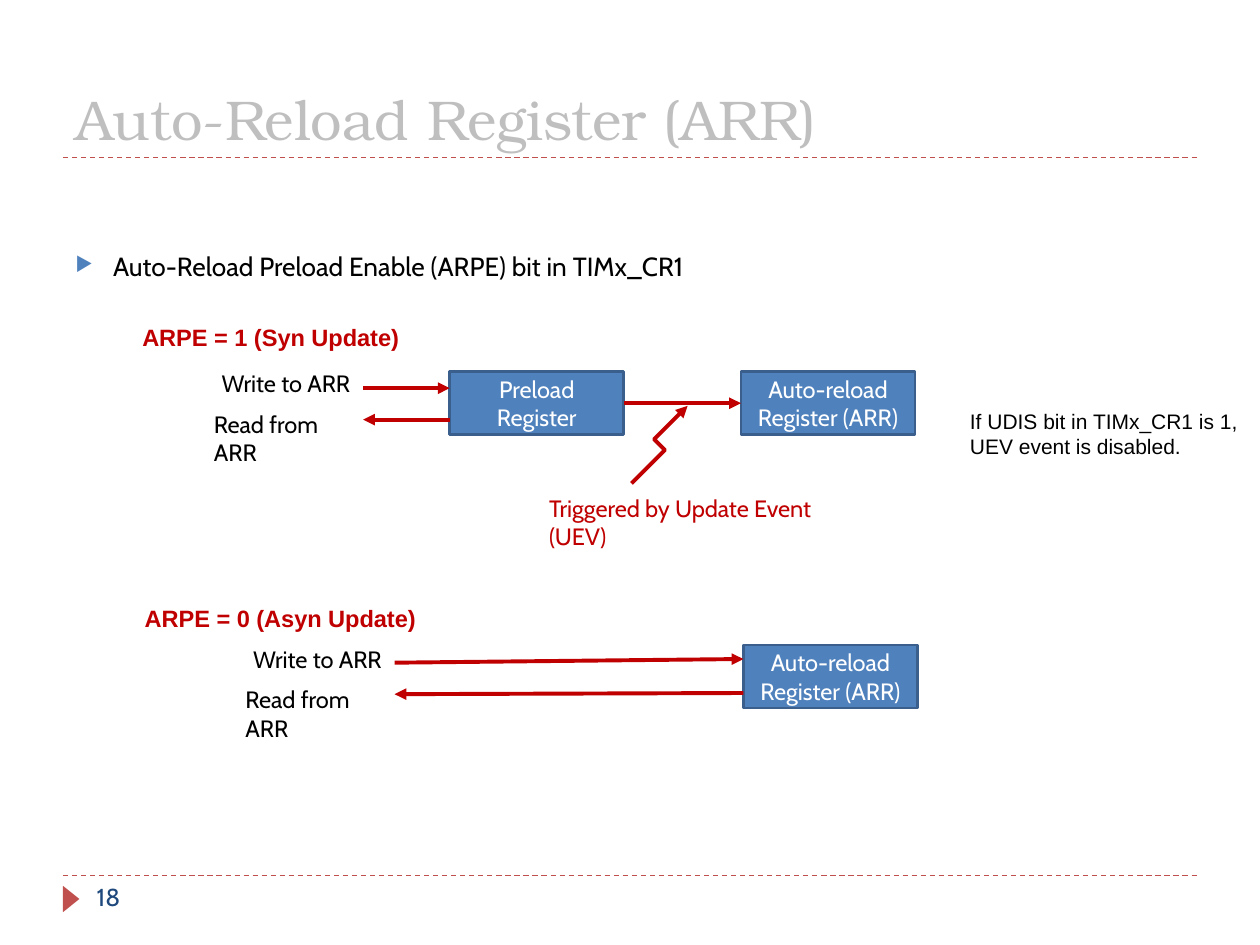
import pptx
import pptx.util
import pptx.dml.color
import pptx.enum.dml
import pptx.enum.shapes
import pptx.enum.text
import pptx.oxml
import pptx.oxml.ns

Pt = pptx.util.Pt
Anchor = pptx.enum.text.MSO_ANCHOR
Align = pptx.enum.text.PP_ALIGN
Shape = pptx.enum.shapes.MSO_SHAPE
Link = pptx.enum.shapes.MSO_CONNECTOR

COLORS = {
    "title": "BFBFBF", "black": "000000", "white": "FFFFFF", "red": "C00000",
    "rule": "C0504D", "blue": "4F81BD", "edge": "3A5F8C", "navy": "1F497D",
}
STYLES = {
    "title": {"name": "TeX Gyre Bonum", "size": Pt(32)},
    "page": {"name": "Cabin", "size": Pt(14)},
    "point": {"name": "Cabin", "size": Pt(15)},
    "body": {"name": "Cabin", "size": Pt(13.5)},
    "head": {"name": "Arial", "size": Pt(13.5), "bold": True},
    "note": {"name": "Arial", "size": Pt(12)},
}
BOX_W, BOX_H = 99.4, 36
TEXT_H = 24
RULES = [90, 500.4]
TEXTS = [
    ("Auto-Reload Register (ARR)", 36, 12.2, 648, 77.8, "title", "title"),
    ("18", 48.2, 500.4, 156, 28.8, "page", "navy"),
    ("Auto-Reload Preload Enable (ARPE) bit in TIMx_CR1",
     36, 139.7, 648, 32.4, "point", "black"),
    ("Triggered by Update Event (UEV)",
     306.7, 278.6, 198, TEXT_H, "body", "red"),
    ("If UDIS bit in TIMx_CR1 is 1, UEV event is disabled.",
     530.6, 229.7, 191.5, 36, "note", "black"),
]
PANELS = [
    {"head": ("ARPE = 1 (Syn Update)", 74.2, 180.7), "write": (119.5, 207.4),
     "boxes": [("Preload Register", 257), ("Auto-reload Register (ARR)", 423.4)],
     "top": 212.4, "lines": [(221.8, 221.8), (239.8, 239.8)]},
    {"head": ("ARPE = 0 (Asyn Update)", 75.6, 341.3), "write": (137.5, 365),
     "boxes": [("Auto-reload Register (ARR)", 424.8)],
     "top": 368.6, "lines": [(378.7, 376.6), (396.7, 396)]},
]

deck = pptx.Presentation()
deck.slide_width, deck.slide_height = Pt(720), Pt(540)
slide = deck.slides.add_slide(deck.slide_layouts[6])
shapes = slide.shapes


def color(key):
    return pptx.dml.color.RGBColor.from_string(COLORS[key])


def add_part(parent, tag, **attrs):
    part = pptx.oxml.ns.qn("a:" + tag)
    child = parent.makeelement(part, attrs)
    parent.append(child)
    return child


def apply(target, values):
    for key, value in values.items():
        setattr(target, key, value)


def write(frame, text, style, ink):
    run = frame.paragraphs[0].add_run()
    run.text = text
    apply(run.font, STYLES[style])
    run.font.color.rgb = color(ink)


def add_text(text, x, y, w, h, style, ink):
    frame = shapes.add_textbox(Pt(x), Pt(y), Pt(w), Pt(h)).text_frame
    anchor = Anchor.BOTTOM if style == "title" else Anchor.TOP
    apply(frame, {"word_wrap": True, "vertical_anchor": anchor})
    props = frame.paragraphs[0]._p.get_or_add_pPr()
    if style == "point":
        apply_indent(props, 21.6, -21.6)
        tint = add_part(props, "buClr")
        add_part(tint, "srgbClr", val=COLORS["blue"])
        add_part(props, "buSzPct", val="76000")
        add_part(props, "buChar", char="▶")
    if style == "note":
        apply_indent(props, 16.6, 0)
    write(frame, text, style, ink)


def apply_indent(props, left, first):
    props.set("marL", str(Pt(left)))
    props.set("indent", str(Pt(first)))


def add_line(kind, x1, y1, x2, y2, ink, width, arrow=True):
    line = shapes.add_connector(kind, Pt(x1), Pt(y1), Pt(x2), Pt(y2))
    line.line.color.rgb = color(ink)
    line.line.width = Pt(width)
    if arrow:
        add_part(line.line._get_or_add_ln(), "tailEnd", type="triangle")
    else:
        line.line.dash_style = pptx.enum.dml.MSO_LINE.DASH
    add_part(line._element.spPr, "effectLst")
    return line


def add_shape(kind, x, y, w, h, fill):
    shape = shapes.add_shape(kind, Pt(x), Pt(y), Pt(w), Pt(h))
    shape.shadow.inherit = False
    shape.fill.solid()
    shape.fill.fore_color.rgb = color(fill)
    return shape


def add_box(text, x, y):
    box = add_shape(Shape.RECTANGLE, x, y, BOX_W, BOX_H, "blue")
    box.line.color.rgb = color("edge")
    box.line.width = Pt(1.5)
    apply(box.text_frame, {"word_wrap": True, "vertical_anchor": Anchor.MIDDLE})
    box.text_frame.paragraphs[0].alignment = Align.CENTER
    write(box.text_frame, text, "body", "white")


for y in RULES:
    add_line(Link.STRAIGHT, 36, y, 684, y, "rule", 0.75, arrow=False)
mark = add_shape(Shape.ISOSCELES_TRIANGLE, 33.1, 509, 15.1, 9.4, "rule")
mark.rotation = 90
mark.line.fill.background()

for item in TEXTS:
    add_text(*item)

for panel in PANELS:
    x, y = panel["write"]
    top, boxes = panel["top"], panel["boxes"]
    add_text(*panel["head"], 171, TEXT_H, "head", "red")
    add_text("Write to ARR", x, y, 92.2, TEXT_H, "body", "black")
    add_text("Read from ARR", x - 4.3, y + 23, 100, TEXT_H, "body", "black")
    for text, left in boxes:
        add_box(text, left, top)
    near, far = x + 88, boxes[0][1]
    (y1, y2), (y3, y4) = panel["lines"]
    add_line(Link.STRAIGHT, near, y1, far, y2, "red", 2.25)
    add_line(Link.STRAIGHT, far, y4, near, y3, "red", 2.25)
    for (_, left), (_, right) in zip(boxes, boxes[1:]):
        mid = top + BOX_H / 2
        add_line(Link.STRAIGHT, left + BOX_W, mid, right, mid, "red", 2.25)

bolt = add_line(Link.ELBOW, 349.9, 258.5, 403.9, 249.8, "red", 2.25)
bolt._element.spPr.xfrm.set("rot", str(315 * 60000))

deck.save("out.pptx")
